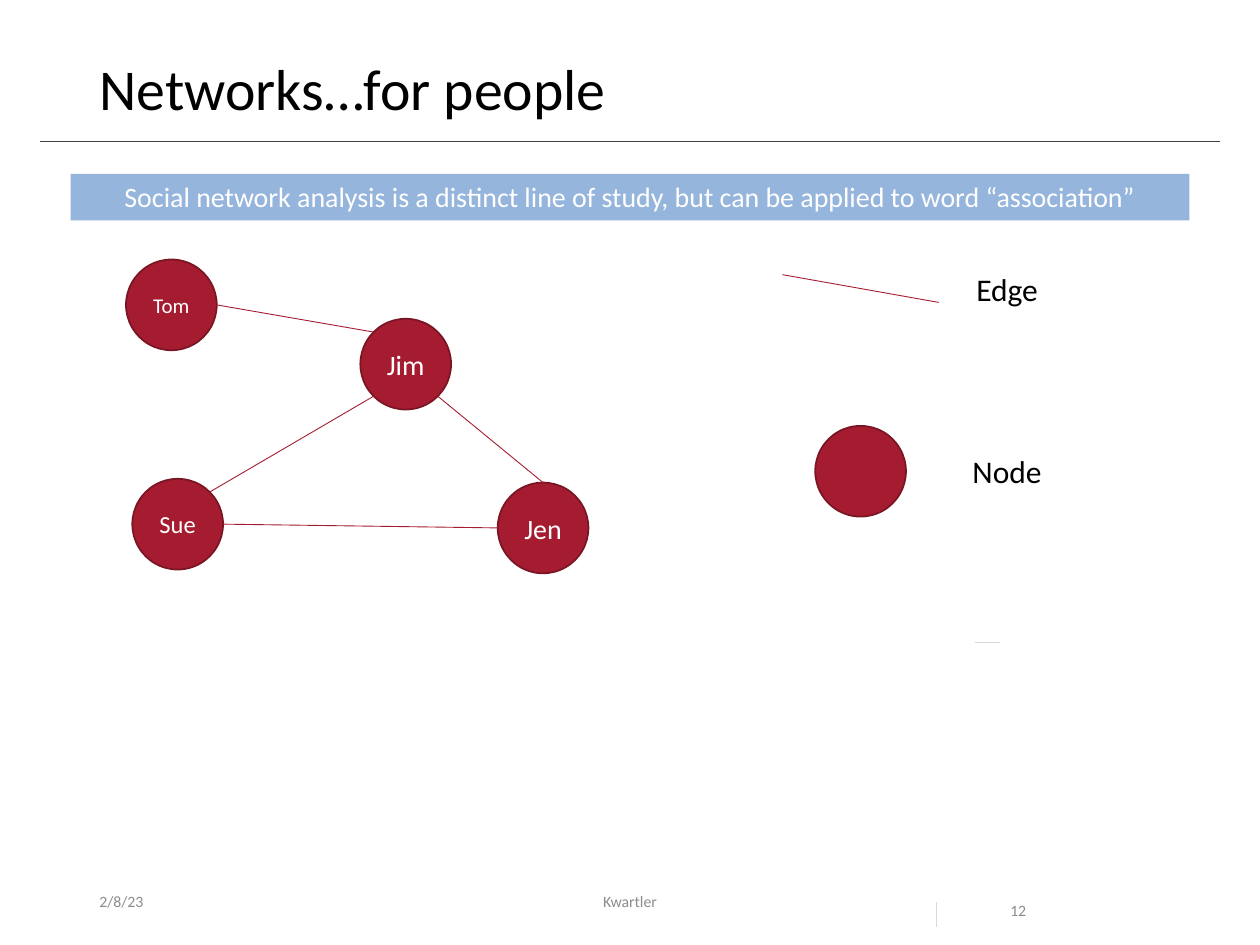
from math import cos, radians, sin

from lxml.etree import SubElement
from pptx import Presentation
from pptx.dml.color import RGBColor
from pptx.enum.shapes import MSO_CONNECTOR, MSO_SHAPE
from pptx.enum.text import MSO_ANCHOR, PP_ALIGN
from pptx.oxml.ns import qn
from pptx.util import Inches, Pt

NODE_SIZE = 0.72


def color(value):
    return RGBColor.from_string(value)


def write_text(shape, text, size, font_color="000000", font="Calibri",
               align=PP_ALIGN.LEFT, anchor=MSO_ANCHOR.TOP, spacing=None, wrap=True):
    frame = shape.text_frame
    frame.word_wrap = wrap
    frame.vertical_anchor = anchor
    paragraph = frame.paragraphs[0]
    paragraph.alignment = align
    if spacing:
        paragraph.line_spacing = spacing
    run = paragraph.add_run()
    run.text = text
    run.font.name = font
    run.font.size = Pt(size)
    run.font.color.rgb = color(font_color)


def rim_point(position, angle):
    radius = NODE_SIZE / 2
    left, top = position
    return (left + radius + radius * cos(radians(angle)),
            top + radius + radius * sin(radians(angle)))


class SlideBuilder:
    crimson = "A51C30"
    dark_crimson = "7A1524"
    banner_blue = "95B5DC"
    footer_gray = "8C8C8C"
    tick_gray = "D9D9D9"
    rule_gray = "404040"
    white = "FFFFFF"

    def __init__(self, slide):
        self.slide = slide

    def title(self, text, left, top, width, height):
        shape = self.slide.shapes.title
        shape.left, shape.top = Inches(left), Inches(top)
        shape.width, shape.height = Inches(width), Inches(height)
        write_text(shape, text, 33, anchor=MSO_ANCHOR.MIDDLE, spacing=0.9)

    def text(self, text, left, top, width, height, size, **text_format):
        box = self.slide.shapes.add_textbox(
            Inches(left), Inches(top), Inches(width), Inches(height))
        write_text(box, text, size, **text_format)

    def shape(self, kind, left, top, width, height, fill, outline=None):
        shape = self.slide.shapes.add_shape(
            kind, Inches(left), Inches(top), Inches(width), Inches(height))
        shape.shadow.inherit = False
        shape.fill.solid()
        shape.fill.fore_color.rgb = color(fill)
        if outline:
            shape.line.color.rgb = color(outline)
            shape.line.width = Pt(1)
        else:
            shape.line.fill.background()
        return shape

    def banner(self, text, left, top, width, height):
        shape = self.shape(MSO_SHAPE.RECTANGLE, left, top, width, height, self.banner_blue)
        write_text(shape, text, 16, font_color=self.white, align=PP_ALIGN.CENTER)

    def node(self, position, text=None, size=16):
        shape = self.shape(MSO_SHAPE.OVAL, *position, NODE_SIZE, NODE_SIZE,
                           self.crimson, self.dark_crimson)
        if text:
            write_text(shape, text, size, font_color=self.white,
                       align=PP_ALIGN.CENTER, anchor=MSO_ANCHOR.MIDDLE)

    def line(self, start, end, line_color=crimson):
        connector = self.slide.shapes.add_connector(
            MSO_CONNECTOR.STRAIGHT, *(Inches(value) for value in (*start, *end)))
        connector.line.color.rgb = color(line_color)
        connector.line.width = Pt(0.5)
        SubElement(connector._element.spPr, qn("a:effectLst"))


def main():
    presentation = Presentation()
    presentation.slide_width = Inches(10)
    presentation.slide_height = Inches(7.5)
    builder = SlideBuilder(presentation.slides.add_slide(presentation.slide_layouts[5]))

    builder.line((0.32, 1.12), (9.68, 1.12), builder.rule_gray)
    builder.title("Networks…for people", 0.69, 0.4, 8.62, 0.65)
    builder.banner("Social network analysis is a distinct line of study, "
                   "but can be applied to word “association”", 0.56, 1.38, 8.88, 0.37)

    people = {"Tom": ((1, 2.06), 12), "Sue": ((1.05, 3.8), 14),
              "Jim": ((2.86, 2.53), 16), "Jen": ((3.95, 3.83), 16)}
    for name, (position, size) in people.items():
        builder.node(position, name, size)

    friendships = [("Tom", 0, "Jim", 225), ("Sue", 315, "Jim", 135),
                   ("Jen", 270, "Jim", 45), ("Sue", 0, "Jen", 180)]
    for first, first_angle, second, second_angle in friendships:
        builder.line(rim_point(people[first][0], first_angle),
                     rim_point(people[second][0], second_angle))

    builder.line((6.21, 2.18), (7.45, 2.4))
    builder.node((6.47, 3.38))
    builder.text("Edge", 7.65, 2.09, 0.7, 0.4, 18, wrap=False)
    builder.text("Node", 7.62, 3.54, 0.76, 0.4, 18, wrap=False)

    gray = builder.footer_gray
    builder.text("2/8/23", 0.69, 6.95, 2.25, 0.4, 9, font_color=gray,
                 anchor=MSO_ANCHOR.MIDDLE)
    builder.text("Kwartler", 3.31, 6.95, 3.38, 0.4, 9, font_color=gray,
                 align=PP_ALIGN.CENTER, anchor=MSO_ANCHOR.MIDDLE)
    builder.text("12", 7.92, 6.95, 0.94, 0.4, 9, font_color=gray, spacing=2.0)
    builder.line((7.43, 7.16), (7.43, 7.36), builder.tick_gray)
    builder.line((7.74, 5.1), (7.94, 5.1), builder.tick_gray)

    presentation.save("out.pptx")


if __name__ == "__main__":
    main()
